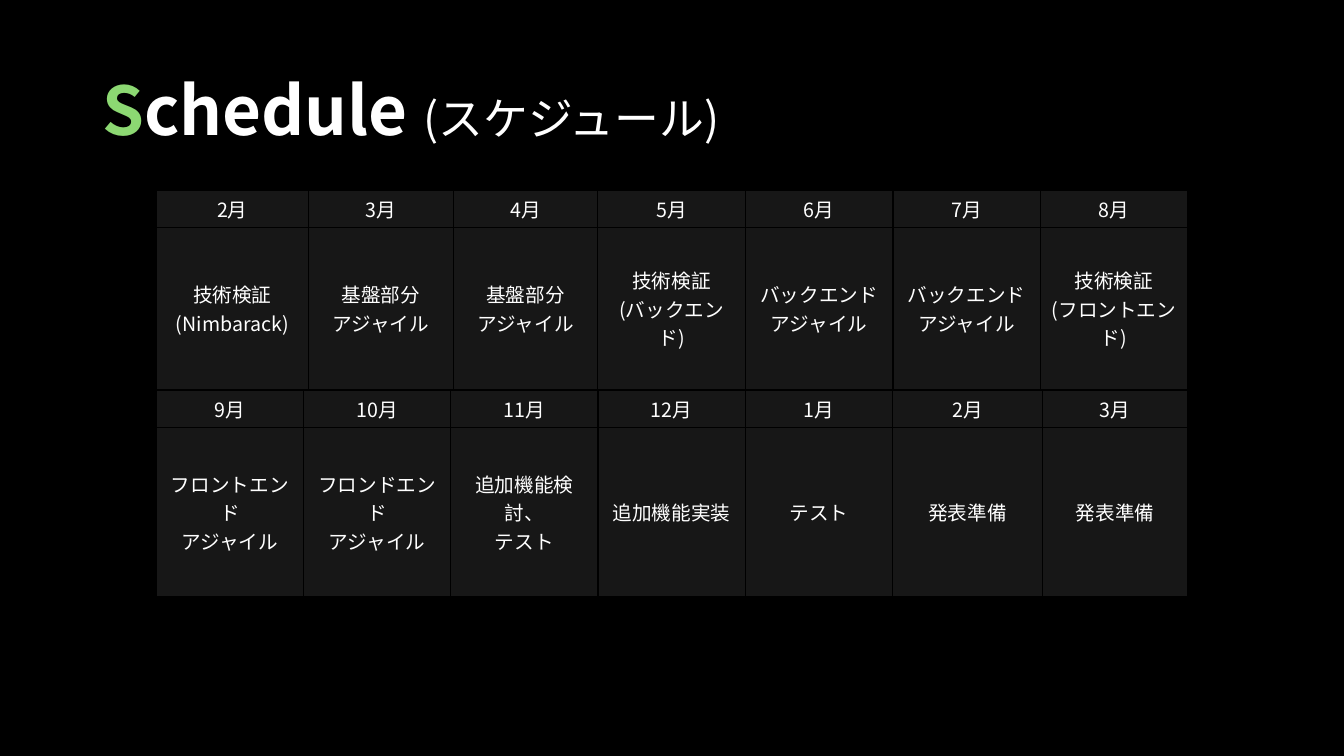
from dataclasses import dataclass

from lxml.etree import SubElement
from pptx import Presentation
from pptx.dml.color import RGBColor
from pptx.enum.text import MSO_ANCHOR, PP_ALIGN
from pptx.oxml.ns import qn
from pptx.util import Pt


@dataclass(frozen=True)
class Theme:
    font: str = "Noto Sans CJK JP"
    back: str = "000000"
    cell: str = "171717"
    text: str = "FFFFFF"
    mark: str = "8CD872"
    head: int = 48
    sub: int = 32
    body: int = 14


THEME = Theme()
LEFT = 111.6

SPRING = [
    ("2月", "技術検証(Nimbarack)"),
    ("3月", "基盤部分\nアジャイル"),
    ("4月", "基盤部分\nアジャイル"),
    ("5月", "技術検証\n(バックエンド)"),
    ("6月", "バックエンド\nアジャイル"),
    ("7月", "バックエンド\nアジャイル"),
    ("8月", "技術検証\n(フロントエンド)"),
]
AUTUMN = [
    ("9月", "フロントエンド\nアジャイル"),
    ("10月", "フロンドエンド\nアジャイル"),
    ("11月", "追加機能検討、\nテスト"),
    ("12月", "追加機能実装"),
    ("1月", "テスト"),
    ("2月", "発表準備"),
    ("3月", "発表準備"),
]


def paint(fill, color):
    fill.solid()
    fill.fore_color.rgb = RGBColor.from_string(color)


def write(para, text, size=THEME.body, color=THEME.text, bold=False):
    run = para.add_run()
    run.text = text
    font = run.font
    font.size = Pt(size)
    font.bold = bold
    font.color.rgb = RGBColor.from_string(color)
    font.name = THEME.font
    # East Asian glyphs need their own font entry
    SubElement(run._r.get_or_add_rPr(), qn("a:ea"), typeface=THEME.font)


def edge(cell):
    props = cell._tc.get_or_add_tcPr()
    for side in ("lnL", "lnR", "lnT", "lnB"):
        line = SubElement(props, qn(f"a:{side}"), w=str(Pt(1)))
        fill = SubElement(line, qn("a:solidFill"))
        SubElement(fill, qn("a:srgbClr"), val=THEME.back)


def fill_cell(cell, text, pad):
    edge(cell)
    paint(cell.fill, THEME.cell)
    cell.vertical_anchor = MSO_ANCHOR.MIDDLE
    cell.margin_left = cell.margin_right = Pt(pad)
    cell.margin_top = cell.margin_bottom = Pt(pad / 2)
    frame = cell.text_frame
    for num, line in enumerate(text.split("\n")):
        para = frame.add_paragraph() if num else frame.paragraphs[0]
        para.alignment = PP_ALIGN.CENTER
        # Keep closing marks inside the cell margin
        para._p.get_or_add_pPr().set("hangingPunct", "0")
        write(para, line)


def add_plan(slide, top, months, widths, heights, last_pad=6.5):
    shape = slide.shapes.add_table(
        len(heights), len(months), Pt(LEFT), Pt(top),
        Pt(sum(widths)), Pt(sum(heights)))
    table = shape.table
    for row, height in zip(table.rows, heights):
        row.height = Pt(height)
    for col, (pair, width) in enumerate(zip(months, widths)):
        table.columns[col].width = Pt(width)
        for row, text in enumerate(pair):
            last = row == 1 and col == len(months) - 1
            fill_cell(table.cell(row, col), text, last_pad if last else 6.5)


def add_title(slide):
    box = slide.shapes.add_textbox(Pt(66), Pt(28.75), Pt(828), Pt(104.4))
    frame = box.text_frame
    frame.word_wrap = True
    frame.vertical_anchor = MSO_ANCHOR.MIDDLE
    para = frame.paragraphs[0]
    para.line_spacing = 0.9
    write(para, "S", size=THEME.head, color=THEME.mark, bold=True)
    write(para, "chedule ", size=THEME.head, bold=True)
    write(para, "(スケジュール)", size=THEME.sub)


def main():
    deck = Presentation()
    deck.slide_width, deck.slide_height = Pt(960), Pt(540)
    slide = deck.slides.add_slide(deck.slide_layouts[6])
    paint(slide.background.fill, THEME.back)

    # Heading
    add_title(slide)

    # Two half-year plans, one under the other
    add_plan(slide, 136.1, SPRING,
             [108.7, 103.5, 103.2, 105.6] + [105.3] * 3, [26.6, 115.6])
    add_plan(slide, 278.6, AUTUMN,
             [105.2] * 5 + [107.2, 103.6], [26.8, 120.8], last_pad=5)

    deck.save("out.pptx")


if __name__ == "__main__":
    main()
